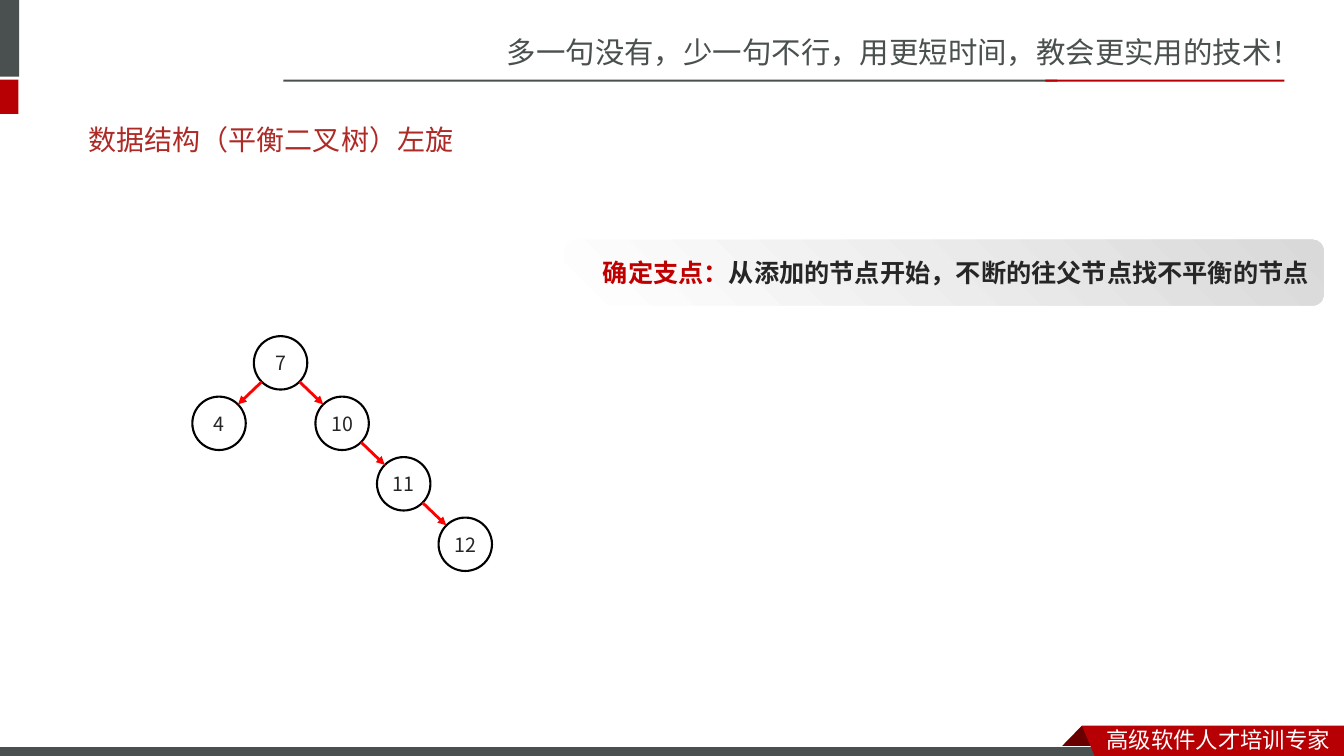
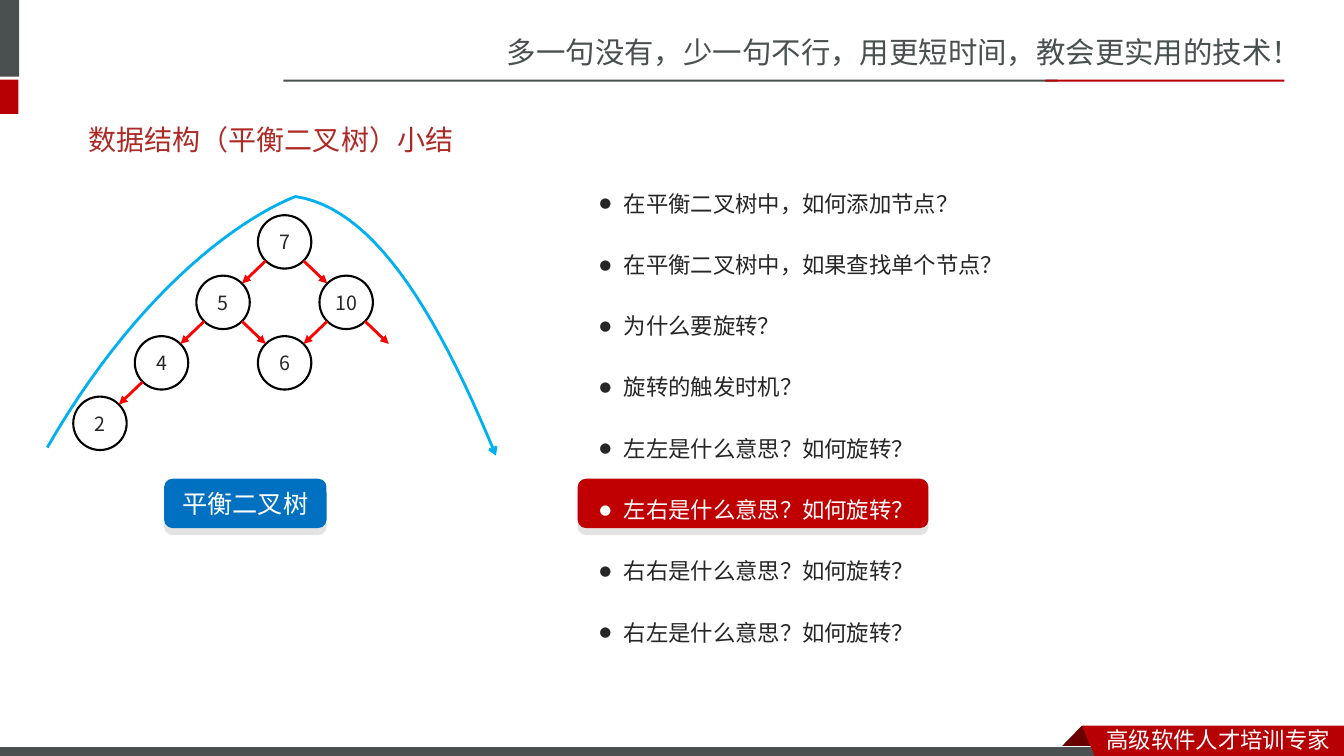
from lxml.etree import SubElement as sub_element
from pptx import Presentation
from pptx.dml.color import RGBColor
from pptx.enum.shapes import MSO_CONNECTOR as CONNECTOR, MSO_SHAPE as SHAPE
from pptx.enum.text import MSO_ANCHOR as ANCHOR, PP_ALIGN as ALIGN
from pptx.oxml.ns import qn
from pptx.util import Inches, Pt

WIDTH, HEIGHT = Inches(13.33), Inches(7.5)
COLORS = {
    "slate": "49504F", "red": "B60004", "fold": "680000", "title": "AD2A26",
    "accent": "C00000", "blue": "0070C0", "sky": "00B0F0", "arrow": "FF0000",
    "ink": "262626", "black": "000000", "white": "FFFFFF", "silver": "D9D9D9",
}
SANS, BOLD_SANS, TITLE_FONT = "Noto Sans CJK SC", "Noto Sans CJK JP", "Calibri"
NODE_SIZE = Inches(0.53)
TREE_COLUMN, TREE_ROW = 4.58, 8
QUESTIONS = [
    "在平衡二叉树中，如何添加节点？",
    "在平衡二叉树中，如果查找单个节点？",
    "为什么要旋转？",
    "旋转的触发时机？",
    "左左是什么意思？如何旋转？",
    "左右是什么意思？如何旋转？",
    "右右是什么意思？如何旋转？",
    "右左是什么意思？如何旋转？",
]
ACTIVE_QUESTION = 5


def color(name):
    return RGBColor.from_string(COLORS[name])


def point(x, y):
    return int(WIDTH * x / 100), int(HEIGHT * y / 100)


def area(x, y, width, height):
    return *point(x, y), *point(width, height)


def add_span(para, text, size, ink, font=SANS, bold=False):
    span = para.add_run()
    span.text = text
    span.font.size = Pt(size)
    span.font.name = font
    span.font.bold = bold
    span.font.color.rgb = color(ink)
    east_asian = SANS if font == TITLE_FONT else font
    sub_element(span.font._element, qn("a:ea"), typeface=east_asian)


def add_text(page, place, text, size, ink, font=SANS, anchor=ANCHOR.TOP):
    frame = page.shapes.add_textbox(*area(*place)).text_frame
    frame.word_wrap = True
    frame.vertical_anchor = anchor
    add_span(frame.paragraphs[0], text, size, ink, font)


def paint(shape, fill=None, line=None, weight=0.75):
    shape.shadow.inherit = False
    if fill:
        shape.fill.solid()
        shape.fill.fore_color.rgb = color(fill)
    else:
        shape.fill.background()
    if line:
        shape.line.color.rgb = color(line)
        shape.line.width = Pt(weight)
    else:
        shape.line.fill.background()


def add_rect(page, place, fill, line=None):
    paint(page.shapes.add_shape(SHAPE.RECTANGLE, *area(*place)), fill, line)


def add_outline(page, points, fill=None, line=None, weight=0.75, closed=True):
    start, *others = [point(*pair) for pair in points]
    builder = page.shapes.build_freeform(*start)
    builder.add_line_segments(others, close=closed)
    outline = builder.convert_to_shape()
    paint(outline, fill, line, weight)
    return outline


def add_head(line_shape, kind):
    line = line_shape._element.spPr.find(qn("a:ln"))
    sub_element(line, qn("a:tailEnd"), type=kind)


def add_arrow(page, start, end):
    arrow = page.shapes.add_connector(CONNECTOR.STRAIGHT, *start, *end)
    arrow.line.color.rgb = color("arrow")
    arrow.line.width = Pt(2)
    add_head(arrow, "triangle")
    sub_element(arrow._element.spPr, qn("a:effectLst"))


def add_node(page, center, label):
    left, top = (value - NODE_SIZE // 2 for value in center)
    node = page.shapes.add_shape(SHAPE.OVAL, left, top, NODE_SIZE, NODE_SIZE)
    paint(node, line="black", weight=1.5)
    frame = node.text_frame
    frame.word_wrap = False
    frame.margin_left = frame.margin_right = 0
    frame.margin_top = frame.margin_bottom = 0
    frame.vertical_anchor = ANCHOR.MIDDLE
    para = frame.paragraphs[0]
    para.alignment = ALIGN.CENTER
    add_span(para, label, 14, "ink")


def add_tree(page, root, nodes, edges):
    def center(cell):
        column, row = cell
        return point(root[0] + column * TREE_COLUMN, root[1] + row * TREE_ROW)

    for label, cell in nodes.items():
        add_node(page, center(cell), label)
    reach = int(NODE_SIZE / 2 * 0.71)
    for parent, side in edges:
        column, row = nodes[parent]
        x1, y1 = center((column, row))
        x2, y2 = center((column + side, row + 1))
        add_arrow(page, (x1 + side * reach, y1 + reach),
                  (x2 - side * reach, y2 - reach))


def add_card(page, place, fill):
    card = page.shapes.add_shape(SHAPE.ROUNDED_RECTANGLE, *area(*place))
    paint(card, fill)
    effects = card._element.spPr.find(qn("a:effectLst"))
    shadow = sub_element(effects, qn("a:outerShdw"), dist=str(Pt(5)),
                         dir="5400000", algn="t", rotWithShape="0")
    shade = sub_element(shadow, qn("a:srgbClr"), val=COLORS["black"])
    sub_element(shade, qn("a:alpha"), val="11000")
    return card


def add_callout(page, place, lead, body):
    callout = page.shapes.add_shape(SHAPE.ROUNDED_RECTANGLE, *area(*place))
    paint(callout)
    callout.fill.gradient()
    callout.fill.gradient_angle = 45
    for stop, name, position in zip(callout.fill.gradient_stops,
                                    ("white", "silver"), (0, 1)):
        stop.color.rgb = color(name)
        stop.position = position
    frame = callout.text_frame
    frame.word_wrap = True
    frame.margin_left, frame.margin_right = Inches(0.35), 0
    frame.vertical_anchor = ANCHOR.MIDDLE
    para = frame.paragraphs[0]
    para.alignment = ALIGN.LEFT
    add_span(para, lead, 18, "accent", BOLD_SANS, True)
    add_span(para, body, 18, "ink", BOLD_SANS, True)


def add_bullets(page, place, lines, active):
    frame = page.shapes.add_textbox(*area(*place)).text_frame
    frame.word_wrap = True
    for index, line in enumerate(lines):
        para = frame.add_paragraph() if index else frame.paragraphs[0]
        props = para._p.get_or_add_pPr()
        props.set("marL", str(Inches(0.25)))
        props.set("indent", str(-Inches(0.25)))
        sub_element(props, qn("a:buFont"), typeface=TITLE_FONT)
        sub_element(props, qn("a:buChar"), char="●")
        para.line_spacing = 1.5
        para.space_after = Pt(15)
        add_span(para, line, 16, "white" if index == active else "ink", BOLD_SANS)


def bezier(start, first, second, end, steps=24):
    for step in range(1, steps + 1):
        t = step / steps
        weights = ((1 - t) ** 3, 3 * t * (1 - t) ** 2, 3 * t * t * (1 - t), t ** 3)
        controls = zip(start, first, second, end)
        yield tuple(sum(w * v for w, v in zip(weights, axis)) for axis in controls)


def add_arch(page):
    left, peak, right = (3.52, 59.2), (21.98, 26), (36.9, 60.27)
    points = [left, *bezier(left, (9.9, 39.47), (17.32, 29.33), peak),
              *bezier(peak, (27.52, 27.47), (32.18, 39.87), right)]
    arch = add_outline(page, points, line="sky", weight=2, closed=False)
    add_head(arch, "arrow")


def add_page(deck, title):
    page = deck.slides.add_slide(deck.slide_layouts[6])
    add_text(page, (36.98, 3.8, 63.02, 6.27),
             "多一句没有，少一句不行，用更短时间，教会更实用的技术！", 21, "slate")
    add_rect(page, (0, 0, 1.42, 10.13), "slate")
    add_rect(page, (0, 10.53, 1.38, 4.53), "red")
    add_rect(page, (21.08, 10.53, 57.6, 0.27), "slate")
    add_rect(page, (77.78, 10.53, 17.78, 0.27), "red")
    add_outline(page, [(80.5, 96), (82.1, 99), (78.85, 99)], "fold")
    add_rect(page, (-0.1, 98.8, 82.5, 1.6), "slate", "white")
    add_outline(page, [(80.5, 96), (100, 96), (100, 100), (81.45, 100)], "red")
    add_text(page, (81.6, 95.33, 18.4, 4.93), "高级软件人才培训专家", 16, "white")
    add_text(page, (5.85, 14.67, 40, 7.6), title, 20, "title", TITLE_FONT,
             ANCHOR.MIDDLE)
    return page


def add_rotation_page(deck):
    page = add_page(deck, "数据结构（平衡二叉树）左旋")
    nodes = {"7": (0, 0), "4": (-1, 1), "10": (1, 1), "11": (2, 2), "12": (3, 3)}
    add_tree(page, (20.88, 48), nodes,
             [("7", -1), ("7", 1), ("10", 1), ("11", 1)])
    add_callout(page, (42, 31.73, 56.48, 8.67), "确定支点：",
                "从添加的节点开始，不断的往父节点找不平衡的节点")


def add_summary_page(deck):
    page = add_page(deck, "数据结构（平衡二叉树）小结")
    nodes = {"7": (0, 0), "5": (-1, 1), "10": (1, 1),
             "4": (-2, 2), "6": (0, 2), "2": (-3, 3)}
    add_tree(page, (21.18, 32), nodes,
             [("7", -1), ("7", 1), ("5", -1), ("5", 1),
              ("4", -1), ("10", -1), ("10", 1)])
    add_arch(page)
    label = add_card(page, (12.22, 63.33, 12.08, 6.53), "blue").text_frame
    label.vertical_anchor = ANCHOR.MIDDLE
    label.paragraphs[0].alignment = ALIGN.CENTER
    add_span(label.paragraphs[0], "平衡二叉树", 18, "white", BOLD_SANS)
    add_card(page, (42.98, 63.33, 26.1, 6.53), "accent")
    add_bullets(page, (43.8, 22.67, 39.6, 65), QUESTIONS, ACTIVE_QUESTION)


def main():
    deck = Presentation()
    deck.slide_width, deck.slide_height = WIDTH, HEIGHT
    add_rotation_page(deck)
    add_summary_page(deck)
    deck.save("out.pptx")


if __name__ == "__main__":
    main()
